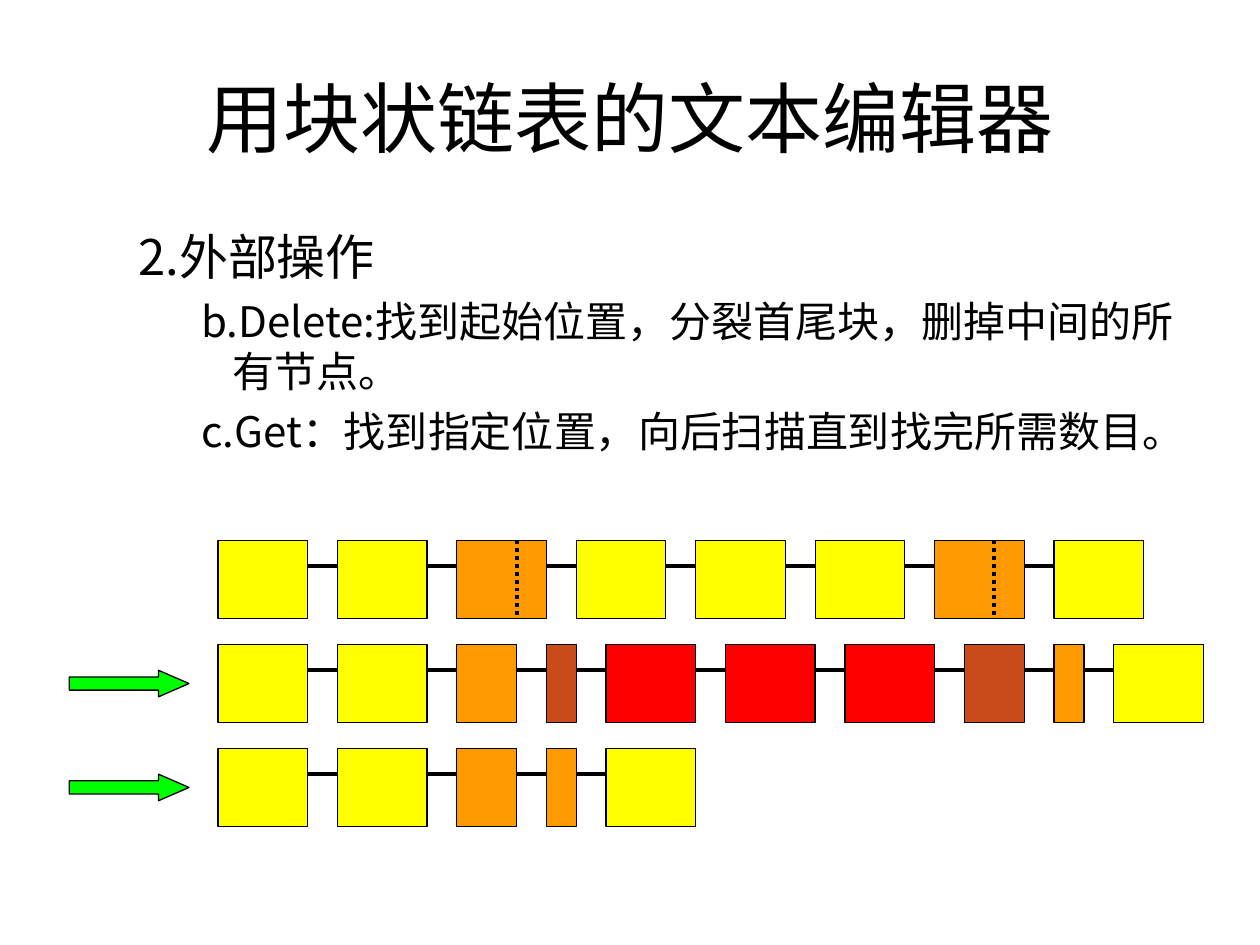
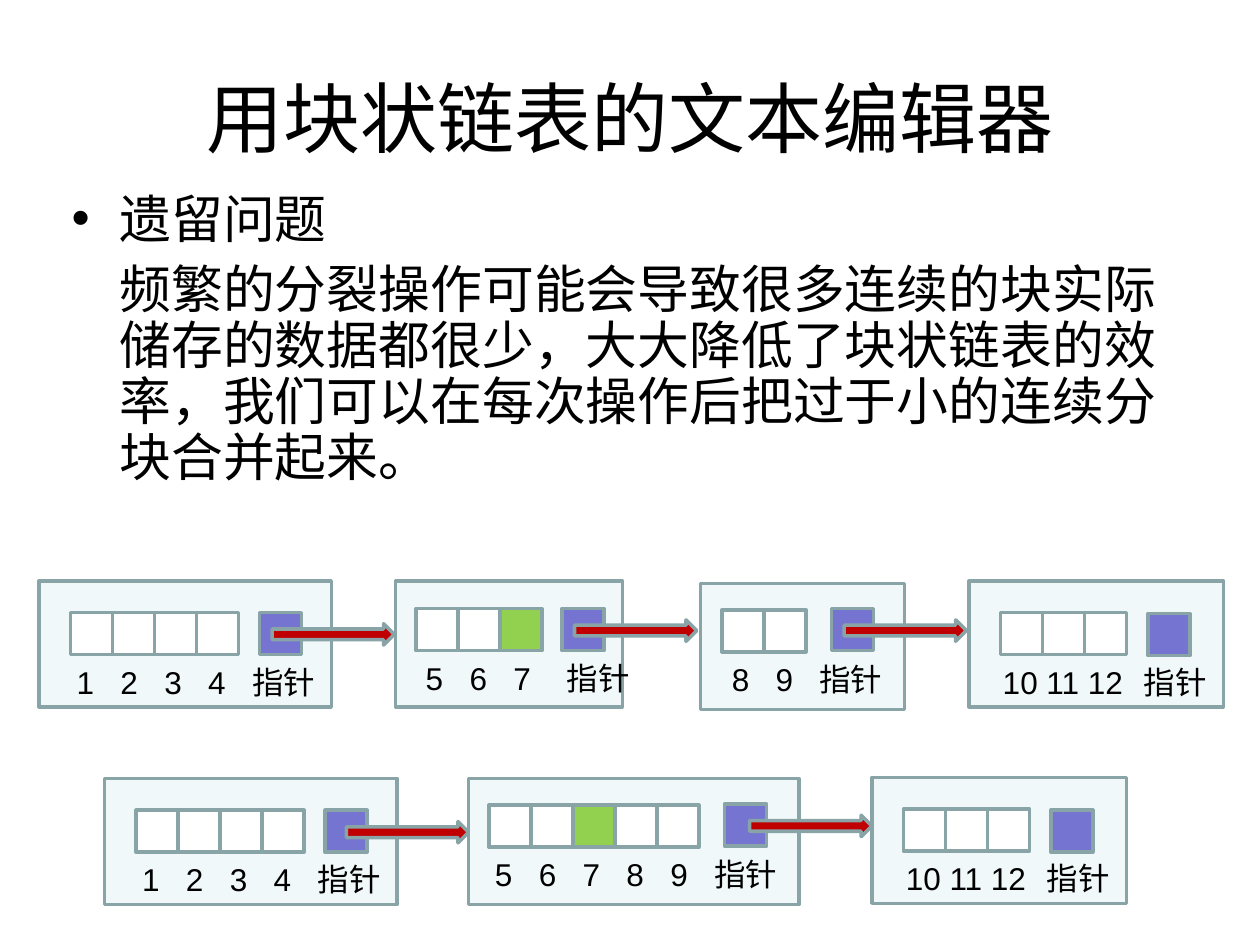
from dataclasses import dataclass, replace

from lxml import etree
from pptx import Presentation
from pptx import util as u
from pptx.dml.color import RGBColor
from pptx.enum import dml, shapes, text
from pptx.oxml.ns import qn

# Grid: 100 columns by 75 rows
WIDE, HIGH = u.Inches(10), u.Inches(7.5)
COL, ROW = WIDE / 100, HIGH / 75

HUES = {
    "ink": "000000", "yellow": "FFFF00", "orange": "FF9900", "red": "FF0000",
    "brown": "C94B19", "green": "00FF00", "pale": "BBE0E3", "edge": "89A4A7",
    "white": "FFFFFF", "lime": "92D050", "violet": "7575D1", "dark": "C00000",
}
CJK, LATIN = "Noto Sans CJK JP", "Arial"
TITLE = "用块状链表的文本编辑器"
LEAD = 1.19  # line height as a share of the text size


@dataclass(frozen=True)
class Para:
    words: str
    size: float
    left: float = 0
    hang: float = 0
    before: float = 0
    lead: float = LEAD
    mark: str = ""


@dataclass(frozen=True)
class Node:
    left: float
    top: float
    wide: float
    cells: tuple[float, float]  # offset of the first cell
    count: int
    link: tuple[float, float]  # offset of the pointer cell
    label: tuple[float, float]
    nums: str
    tabs: tuple[float, ...]
    hot: int = -1
    lead: float = 1  # arrow start within the pointer cell; 0 for none


def hue(name: str) -> RGBColor:
    return RGBColor.from_string(HUES[name])


def place(x: float, y: float, w: float, h: float) -> list[u.Emu]:
    return [u.Emu(round(n)) for n in (x * COL, y * ROW, w * COL, h * ROW)]


def add_run(para, words: str, size: float, face: str) -> None:
    run = para.add_run()
    run.text = words
    run.font.size = u.Pt(size)
    run.font.name = face
    run.font.color.rgb = hue("ink")
    east = etree.SubElement(run.font._element, qn("a:ea"))
    east.set("typeface", CJK)


def add_tabs(para, stops: tuple[float, ...]) -> None:
    tabs = etree.SubElement(para._p.get_or_add_pPr(), qn("a:tabLst"))
    for stop in stops:
        etree.SubElement(tabs, qn("a:tab"), pos=str(round(stop * COL)), algn="l")


def add_box(slide, box: tuple, fill: str, edge: str, width: float,
            kind=shapes.MSO_SHAPE.RECTANGLE):
    shape = slide.shapes.add_shape(kind, *place(*box))
    shape.shadow.inherit = False
    shape.fill.solid()
    shape.fill.fore_color.rgb = hue(fill)
    shape.line.color.rgb = hue(edge)
    shape.line.width = u.Pt(width)
    return shape


def add_arrow(slide, box: tuple, fill: str, edge: str, width: float, head: float) -> None:
    arrow = add_box(slide, box, fill, edge, width, shapes.MSO_SHAPE.RIGHT_ARROW)
    arrow.adjustments[1] = head


def add_line(slide, x: float, y: float, w: float, h: float, dots: bool = False) -> None:
    left, top, wide, high = place(x, y, w, h)
    line = slide.shapes.add_connector(
        shapes.MSO_CONNECTOR.STRAIGHT, left, top, left + wide, top + high)
    line.line.color.rgb = hue("ink")
    line.line.width = u.Pt(2.25)
    if dots:
        line.line.dash_style = dml.MSO_LINE.ROUND_DOT
    etree.SubElement(line._element.spPr, qn("a:effectLst"))


def add_text(slide, box: tuple, paras: list[Para]) -> None:
    frame = slide.shapes.add_textbox(*place(*box)).text_frame
    frame.word_wrap = True
    for i, item in enumerate(paras):
        para = frame.paragraphs[0] if i == 0 else frame.add_paragraph()
        para.line_spacing = u.Pt(round(item.size * item.lead, 1))
        para.space_before = u.Pt(item.before)
        props = para._p.get_or_add_pPr()
        props.set("marL", str(round(item.left * COL)))
        props.set("indent", str(round(-item.hang * COL)))
        if item.mark:
            etree.SubElement(props, qn("a:buFont"), typeface=LATIN)
            etree.SubElement(props, qn("a:buChar"), char=item.mark)
        add_run(para, item.words, item.size, CJK)


def add_slide(deck):
    slide = deck.slides.add_slide(deck.slide_layouts[5])
    title = slide.shapes.title
    title.left, title.top, title.width, title.height = place(5, 3, 90, 12.5)
    frame = title.text_frame
    frame.word_wrap = True
    frame.auto_size = text.MSO_AUTO_SIZE.NONE
    frame.vertical_anchor = text.MSO_ANCHOR.MIDDLE
    frame.paragraphs[0].alignment = text.PP_ALIGN.CENTER
    add_run(frame.paragraphs[0], TITLE, 44, CJK)
    return slide


# Delete slide: chains of blocks, widths and gaps in units
UNIT, TALL, DROP = 2.37, 6.2, 2.05
FIRST, TOP, PITCH = 17.3, 42.9, 8.25
FULL = ("yellow", 3)
SPLIT = ("orange", 3)
GONE = ("red", 3)
HEAD, TAIL = ("orange", 2), ("orange", 1)
CHAINS = [
    [FULL, FULL, SPLIT, FULL, FULL, FULL, SPLIT, FULL],
    [FULL, FULL, HEAD, ("brown", 1), GONE, GONE, GONE, ("brown", 2), TAIL, FULL],
    [FULL, FULL, HEAD, TAIL, FULL],
]


def add_chain(slide, y: float, chain: list[tuple[str, int]]) -> None:
    x = FIRST
    for i, block in enumerate(chain):
        fill, units = block
        if i:
            add_line(slide, x - UNIT, y + DROP, UNIT, 0)
        add_box(slide, (x, y, units * UNIT, TALL), fill, "ink", 0.75)
        if block == SPLIT:
            add_line(slide, x + 2 * UNIT, y, 0, TALL, dots=True)
        x += (units + 1) * UNIT


def draw_delete(deck) -> None:
    slide = add_slide(deck)
    add_text(slide, (5, 17.5, 90.3, 53.3), [
        Para("2.外部操作", 28, 8.1, 3.1),
        Para("b.Delete:找到起始位置，分裂首尾块，删掉中间的所有节点。", 24, 12.5, 2.5, 6),
        Para("c.Get：找到指定位置，向后扫描直到找完所需数目。", 24, 12.5, 2.5, 6),
    ])
    for i, chain in enumerate(CHAINS):
        y = TOP + i * PITCH
        add_chain(slide, y, chain)
        if i:
            add_arrow(slide, (5.5, y + DROP, 9.5, 2.1), "green", "ink", 0.75, 1.15)


# Merge slide: linked nodes before and after
CELL, STEP = 100 / 30, 3.48
FOUR = Node(3.1, 46.1, 23.2, (2.5, 2.5), 4, (17.5, 2.5), (2, 6),
            "1\t2\t3\t4\t指针", tuple(STEP * n for n in range(1, 5)))
LAST = Node(76.9, 46.1, 20.2, (2.5, 2.5), 3, (14.2, 2.6), (1.7, 6),
            "10 11 12\t指针", (11.2,), lead=0)
NODES = [
    FOUR,
    Node(31.4, 46.1, 18, (1.6, 2.2), 3, (13.2, 2.2), (1.4, 5.7),
         "5\t6\t7\t指针", (STEP, 2 * STEP, 11.2), hot=2),
    Node(55.6, 46.3, 16.2, (1.7, 2.1), 2, (10.4, 2), (1.5, 5.6),
         "8\t9\t指针", (STEP, 2 * STEP)),
    LAST,
    replace(FOUR, left=8.3, top=61.8, lead=1.7),
    Node(37.2, 61.8, 26.2, (1.6, 2.1), 5, (20.3, 2), (1.1, 5.6),
         "5\t6\t7\t8\t9\t指针", tuple(STEP * n for n in range(1, 6)), hot=2, lead=2),
    replace(LAST, left=69.2, top=61.7),
]


def add_cell(slide, x: float, y: float, fill: str) -> None:
    add_box(slide, (x, y, CELL, CELL), fill, "edge", 2)


def add_node(slide, node: Node) -> None:
    back = add_box(slide, (node.left, node.top, node.wide, 10), "pale", "edge", 2)
    color = back.fill._xPr.find(qn("a:solidFill"))[0]
    etree.SubElement(color, qn("a:alpha"), val="21000")
    for i in range(node.count):
        add_cell(slide, node.left + node.cells[0] + i * CELL, node.top + node.cells[1],
                 "lime" if i == node.hot else "white")
    add_cell(slide, node.left + node.link[0], node.top + node.link[1], "violet")
    box = (node.left + node.label[0], node.top + node.label[1], node.tabs[-1] + 8, 4)
    frame = slide.shapes.add_textbox(*place(*box)).text_frame
    frame.word_wrap = True
    para = frame.paragraphs[0]
    add_tabs(para, node.tabs)
    add_run(para, node.nums, 18, LATIN)


def draw_merge(deck) -> None:
    slide = add_slide(deck)
    add_text(slide, (4.7, 14.8, 90.6, 27.3), [
        Para("遗留问题", 29.6, 3.8, 3.8, lead=1.08, mark="•"),
        Para("频繁的分裂操作可能会导致很多连续的块实际储存的数据都很少，大大降低了块状链表的效率，"
             "我们可以在每次操作后把过于小的连续分块合并起来。", 29.6, 3.8, before=8, lead=1.08),
    ])
    for node in NODES:
        add_node(slide, node)
    for node in NODES:
        if node.lead:
            x, y = node.left + node.link[0], node.top + node.link[1]
            add_arrow(slide, (x + node.lead, y + 0.9, 9.7, 1.7), "dark", "edge", 2, 0.5)


def main() -> None:
    deck = Presentation()
    deck.slide_width, deck.slide_height = WIDE, HIGH
    draw_delete(deck)
    draw_merge(deck)
    deck.save("out.pptx")


if __name__ == "__main__":
    main()
